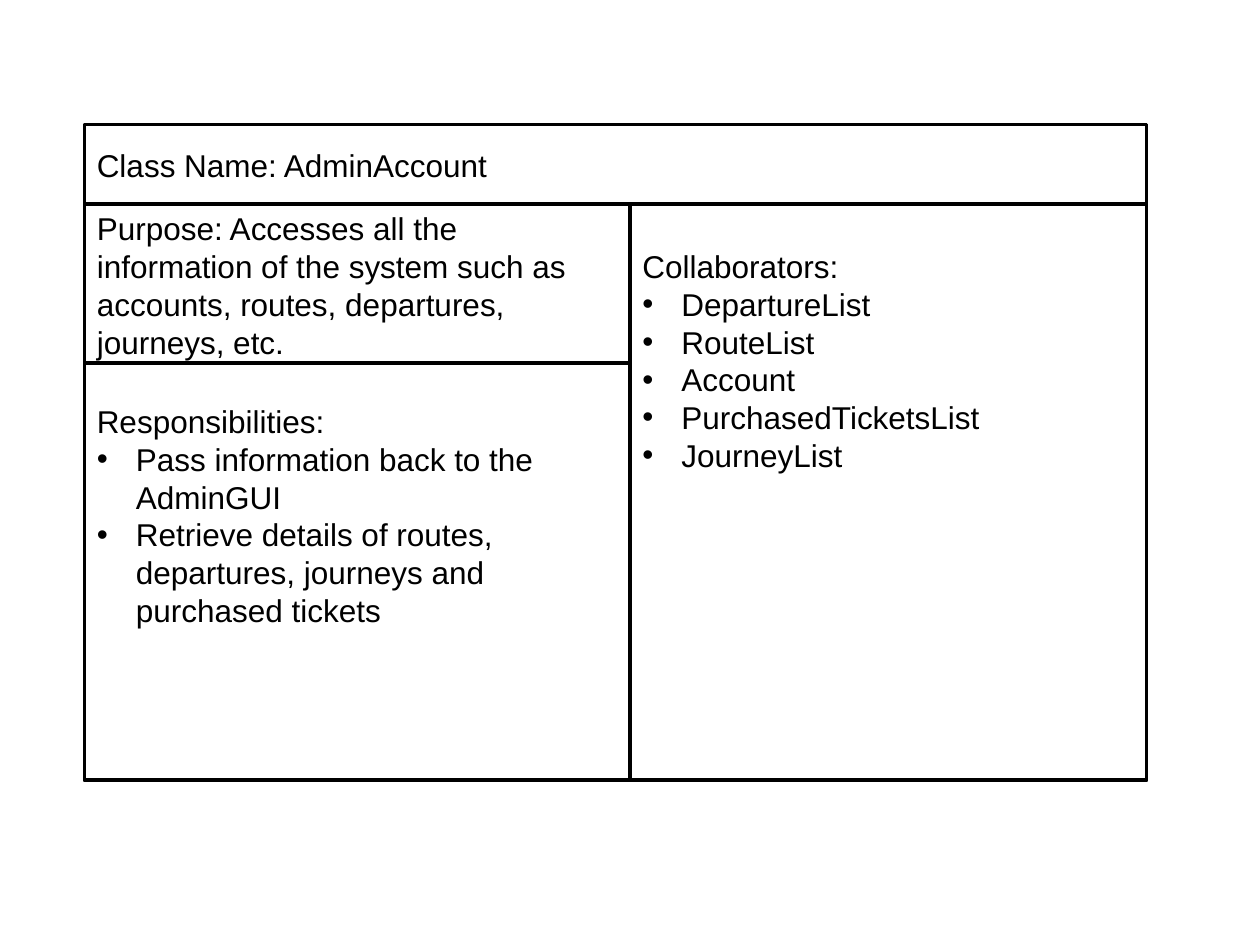
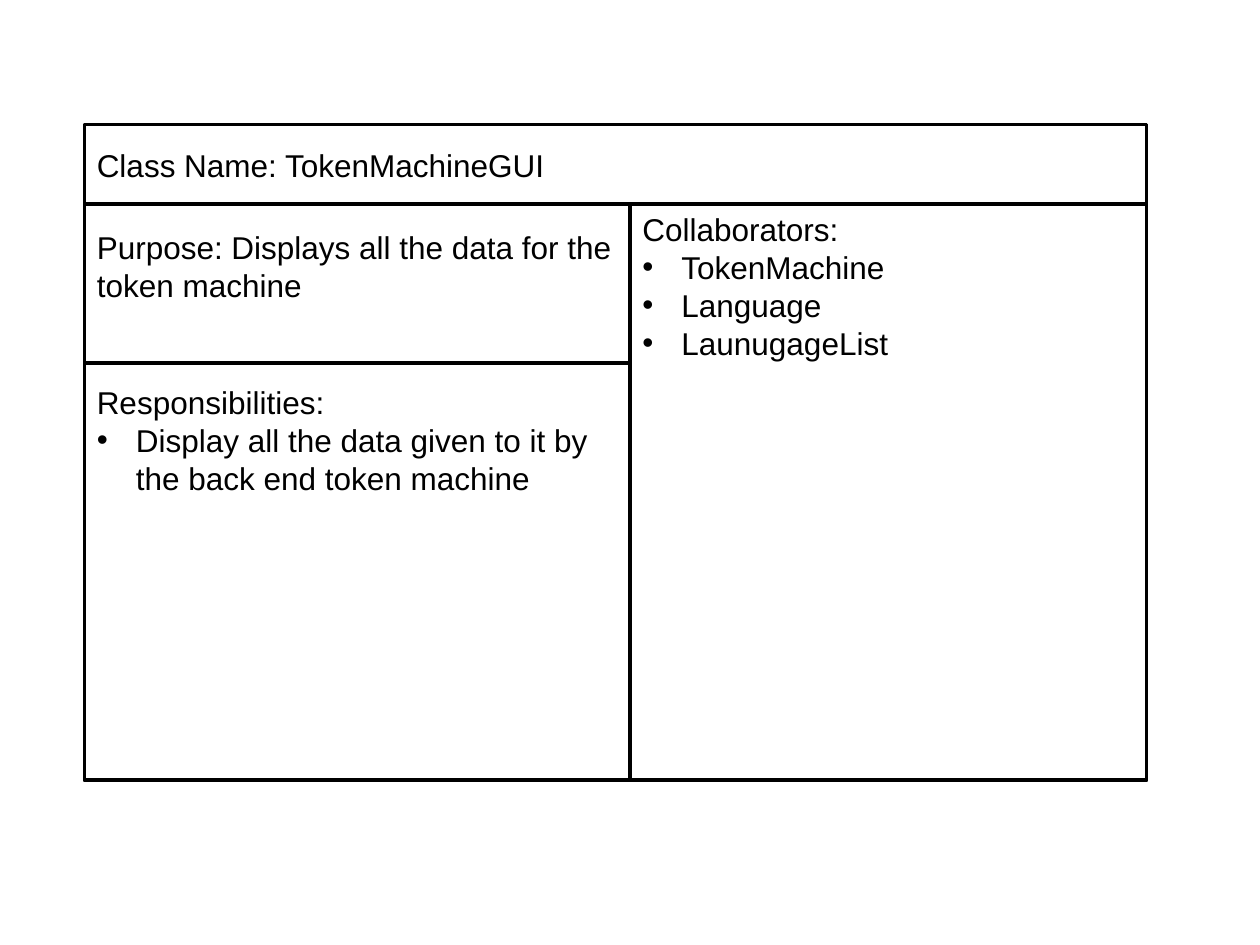
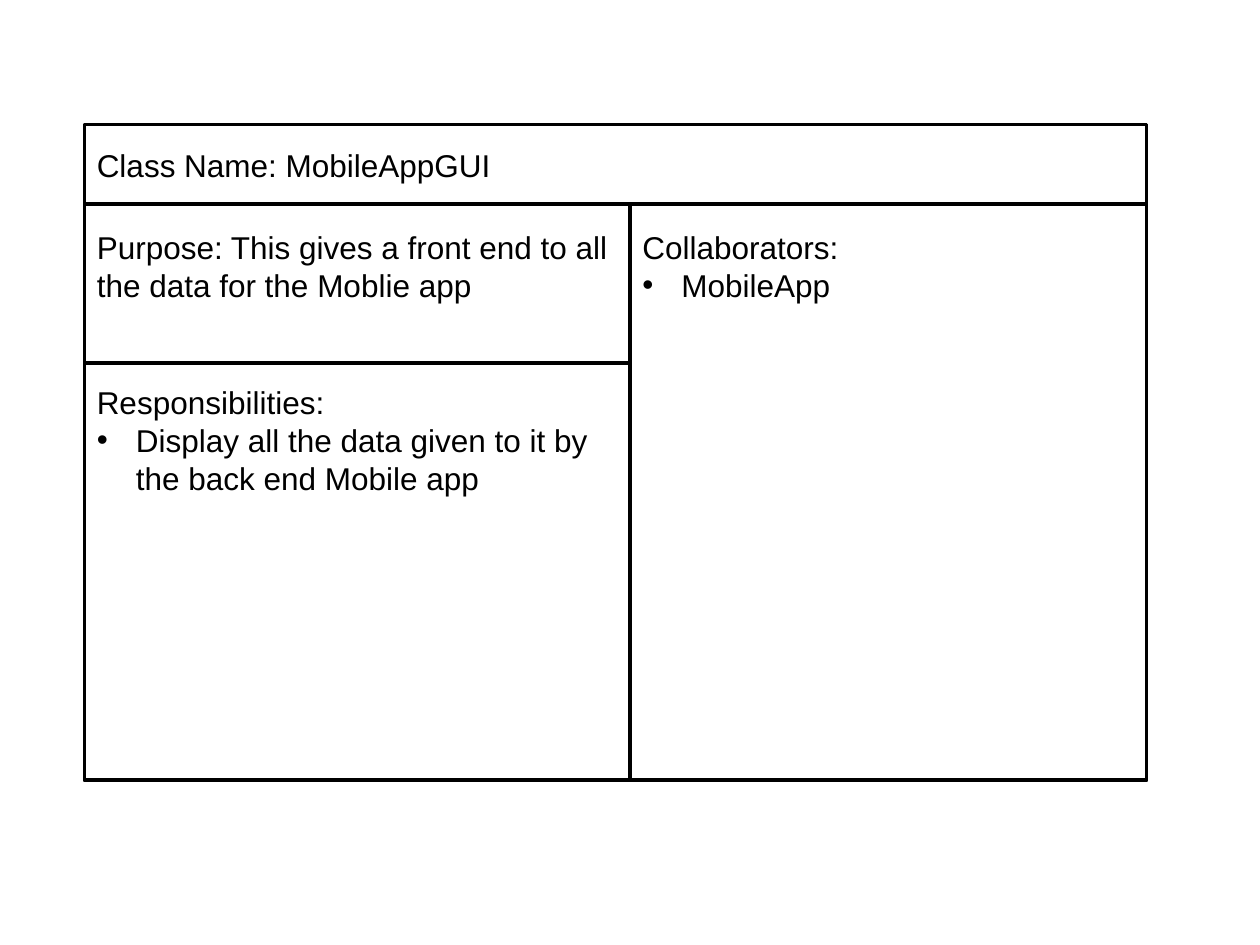
import pptx
import pptx.dml.color
import pptx.enum.shapes
import pptx.enum.text
import pptx.util
from lxml import etree
from pptx.oxml.ns import qn

Inches, Pt = pptx.util.Inches, pptx.util.Pt

COLORS = {"ink": "000000", "paper": "FFFFFF"}
LEFT, MIDDLE, RIGHT = 0.67, 5, 9.1
TOP, NAME_BOTTOM, PURPOSE_BOTTOM, BOTTOM = 0.99, 1.62, 2.88, 6.19

# Each section's gap is the distance from the top of its box to its text.
CARDS = [
    {
        "name": "AdminAccount",
        "purpose": (0.04, "Accesses all the information of the system such as "
                          "accounts, routes, departures, journeys, etc."),
        "responsibilities": (0.31, [
            "Pass information back to the AdminGUI",
            "Retrieve details of routes, departures, journeys and purchased tickets",
        ]),
        "collaborators": (0.34, ["DepartureList", "RouteList", "Account",
                                 "PurchasedTicketsList", "JourneyList"]),
    },
    {
        "name": "TokenMachineGUI",
        "purpose": (0.19, "Displays all the data for the token machine"),
        "responsibilities": (0.16, [
            "Display all the data given to it by the back end token machine"]),
        "collaborators": (0.05, ["TokenMachine", "Language", "LaunugageList"]),
    },
    {
        "name": "MobileAppGUI",
        "purpose": (0.19, "This gives a front end to all the data for the Moblie app"),
        "responsibilities": (0.16, [
            "Display all the data given to it by the back end Mobile app"]),
        "collaborators": (0.19, ["MobileApp"]),
    },
]


def rgb(name):
    return pptx.dml.color.RGBColor.from_string(COLORS[name])


class Deck:
    font, size, leading, indent = "Arial", Pt(18), Pt(21.6), Inches(0.31)

    def __init__(self):
        self.prs = pptx.Presentation()
        self.prs.slide_width, self.prs.slide_height = Inches(10), Inches(7.5)

    def add_slide(self):
        self.s = self.prs.slides.add_slide(self.prs.slide_layouts[6])

    def box(self, left, top, right, bottom):
        sp = self.s.shapes.add_shape(
            pptx.enum.shapes.MSO_SHAPE.RECTANGLE, Inches(left), Inches(top),
            Inches(right - left), Inches(bottom - top))
        sp.shadow.inherit = False
        sp.fill.solid()
        sp.fill.fore_color.rgb = rgb("paper")
        sp.line.color.rgb = rgb("ink")
        sp.line.width = Pt(2)
        return sp

    def section(self, edges, gap, heading, items=()):
        """Draw a box with a heading and a bullet for each item."""
        tf = self.box(*edges).text_frame
        tf.word_wrap = True
        tf.vertical_anchor = pptx.enum.text.MSO_ANCHOR.TOP
        tf.margin_left = tf.margin_right = Inches(0.1)
        tf.margin_top, tf.margin_bottom = Inches(gap), 0
        self.add_text(tf.paragraphs[0], heading)
        for item in items:
            p = tf.add_paragraph()
            self.bullet(p)
            self.add_text(p, item)

    def add_text(self, p, text):
        p.alignment = pptx.enum.text.PP_ALIGN.LEFT
        p.line_spacing = self.leading
        r = p.add_run()
        r.text = text
        r.font.name, r.font.size = self.font, self.size
        r.font.color.rgb = rgb("ink")

    def bullet(self, p):
        pPr = p._p.get_or_add_pPr()
        pPr.set("marL", str(self.indent))
        pPr.set("indent", str(-self.indent))
        color = etree.SubElement(pPr, qn("a:buClr"))
        etree.SubElement(color, qn("a:srgbClr"), val=COLORS["ink"])
        etree.SubElement(pPr, qn("a:buFont"), typeface=self.font)
        etree.SubElement(pPr, qn("a:buChar"), char="•")

    def card(self, name, purpose, responsibilities, collaborators):
        self.add_slide()
        self.box(LEFT, TOP, RIGHT, BOTTOM)
        gap, text = purpose
        self.section((LEFT, NAME_BOTTOM, MIDDLE, PURPOSE_BOTTOM), gap, f"Purpose: {text}")
        gap, items = responsibilities
        self.section((LEFT, PURPOSE_BOTTOM, MIDDLE, BOTTOM), gap, "Responsibilities:", items)
        gap, items = collaborators
        self.section((MIDDLE, NAME_BOTTOM, RIGHT, BOTTOM), gap, "Collaborators:", items)
        self.section((LEFT, TOP, RIGHT, NAME_BOTTOM), 0.17, f"Class Name: {name}")


def main():
    deck = Deck()
    for card in CARDS:
        deck.card(**card)
    deck.prs.save("out.pptx")


if __name__ == "__main__":
    main()
